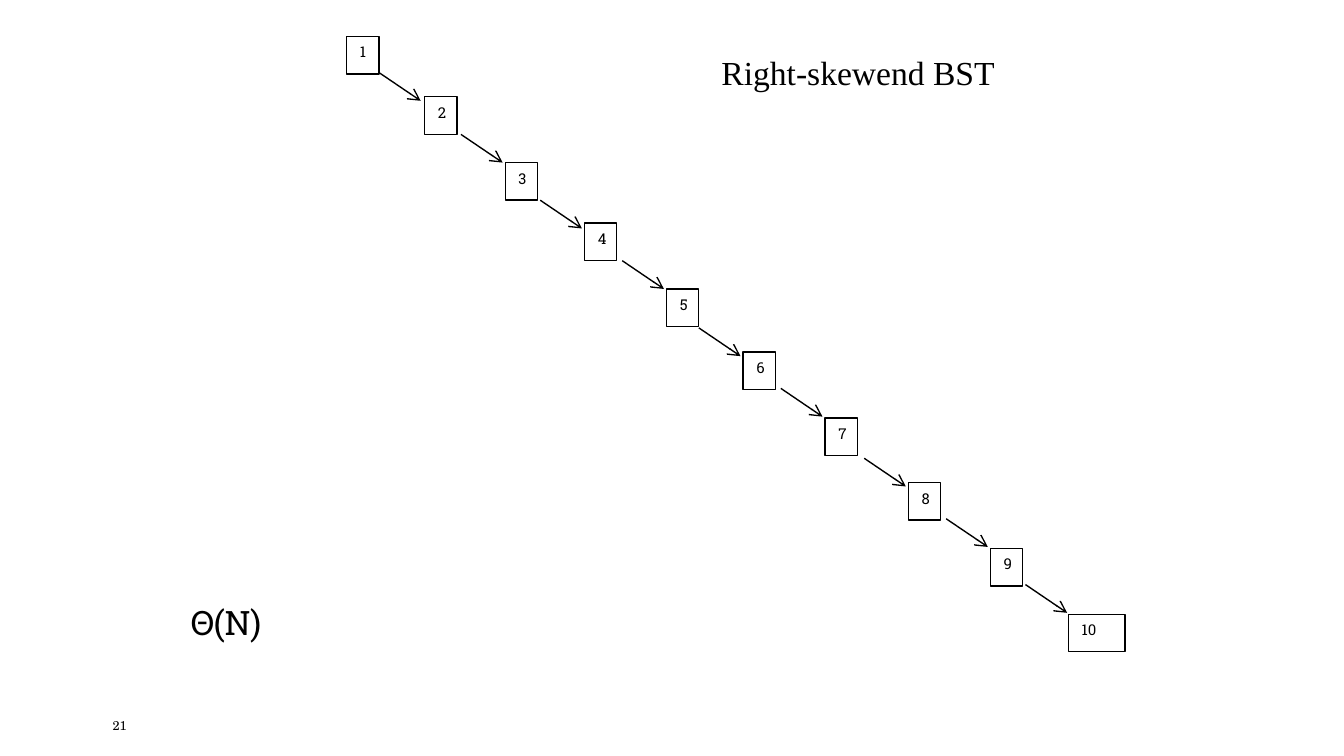
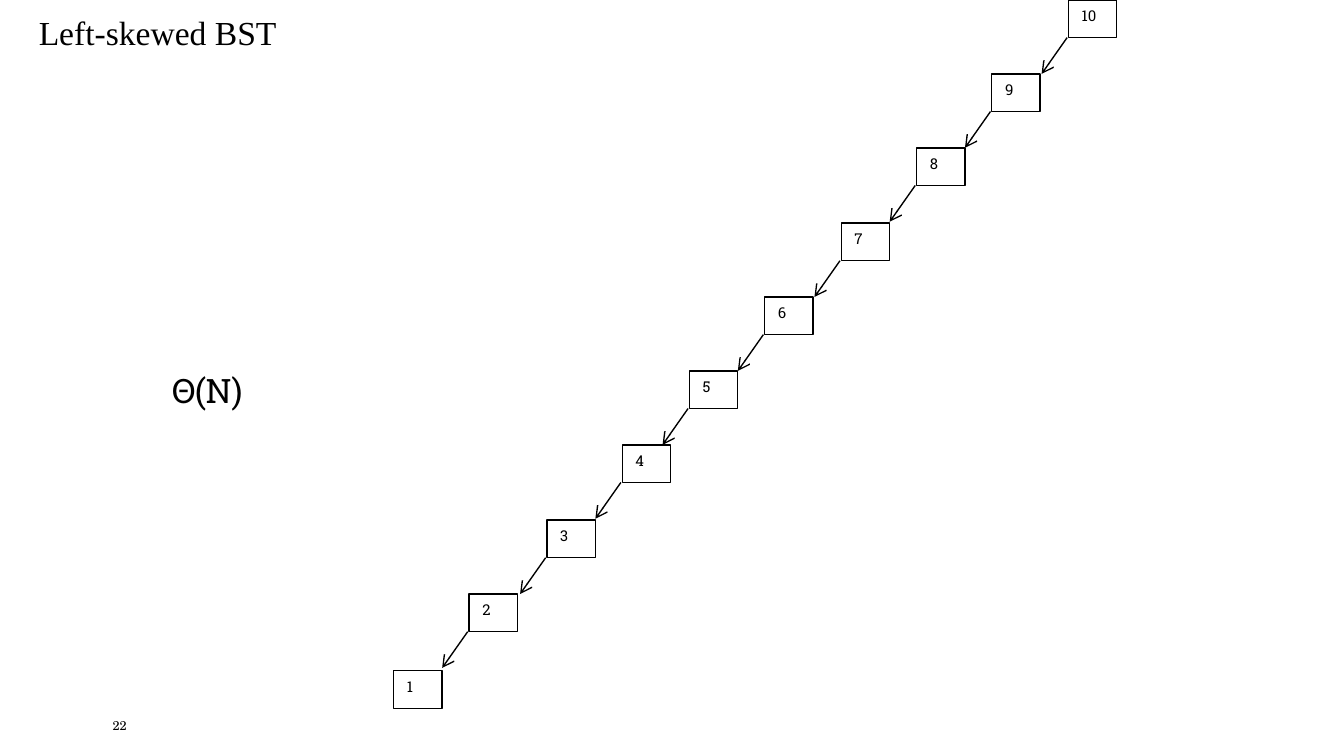
from lxml import etree
from pptx import Presentation
from pptx.dml.color import RGBColor
from pptx.enum.shapes import MSO_CONNECTOR, MSO_SHAPE
from pptx.enum.text import MSO_ANCHOR, MSO_AUTO_SIZE, PP_ALIGN
from pptx.oxml.ns import qn
from pptx.util import Inches, Pt

RECT = MSO_SHAPE.RECTANGLE
STRAIGHT = MSO_CONNECTOR.STRAIGHT
TOP, BOTTOM = MSO_ANCHOR.TOP, MSO_ANCHOR.BOTTOM
LEFT = PP_ALIGN.LEFT
FIT = MSO_AUTO_SIZE.SHAPE_TO_FIT_TEXT

BLACK = "000000"
LINE_WIDTH = Pt(0.75)
NODE_HEIGHT = 0.28
TITLE = {"name": "Times New Roman", "size": Pt(18)}
COST = {"name": "Roboto Slab", "size": Pt(18)}
NODE = {"name": "Roboto Slab", "size": Pt(8)}
PAGE = {"name": "TeX Gyre Schola", "size": Pt(6.8)}

# Nodes run from the root down; every arrow on a slide has the same run and drop.
right_nodes = [(2.58, 0.27), (3.16, 0.72), (3.76, 1.21), (4.35, 1.66), (4.96, 2.15),
               (5.53, 2.62), (6.14, 3.11), (6.76, 3.59), (7.37, 4.08), (7.95, 4.57)]
right_arrows = [(2.82, 0.54), (3.43, 1), (4.02, 1.49), (4.63, 1.94), (5.2, 2.44),
                (5.81, 2.89), (6.43, 3.41), (7.04, 3.86), (7.63, 4.35)]
left_nodes = [(7.95, 0), (7.38, 0.55), (6.82, 1.1), (6.26, 1.66), (5.69, 2.21),
              (5.13, 2.76), (4.63, 3.31), (4.07, 3.87), (3.49, 4.42), (2.93, 4.99)]
left_arrows = [(x - 0.01, y + NODE_HEIGHT) for x, y in left_nodes[:-1]]

trees = [
    {"page": "21", "title": ("Right-skewend BST", 5.27, 0.34, 2.26), "cost_at": (1.32, 4.43),
     "keys": range(1, 11), "nodes": right_nodes, "widths": [0.24] * 9 + [0.42],
     "arrows": right_arrows, "run": 0.31, "drop": 0.21},
    {"page": "22", "title": ("Left-skewed BST", 0.19, 0.04, 1.99), "cost_at": (1.18, 2.7),
     "keys": range(10, 0, -1), "nodes": left_nodes, "widths": [0.36] * 10,
     "arrows": left_arrows, "run": -0.19, "drop": 0.27},
]


def rgb(value):
    return RGBColor.from_string(value)


def write(sp, text, font, anchor=TOP, wrap=True):
    tf = sp.text_frame
    tf.word_wrap = wrap
    tf.vertical_anchor = anchor
    if not wrap:
        tf.auto_size = FIT
    p = tf.paragraphs[0]
    p.alignment = LEFT
    r = p.add_run()
    r.text = text
    for key, value in font.items():
        setattr(r.font, key, value)
    r.font.color.rgb = rgb(BLACK)


prs = Presentation()
prs.slide_width = Inches(10)
prs.slide_height = Inches(10 * 9 / 16)

for tree in trees:
    s = prs.slides.add_slide(prs.slide_layouts[6])

    sp = s.shapes.add_textbox(Inches(0.74), Inches(5.12), Inches(0.64), Inches(0.38))
    write(sp, tree["page"], PAGE, anchor=BOTTOM)

    for x, y in tree["arrows"]:
        arrow = s.shapes.add_connector(STRAIGHT, Inches(x), Inches(y),
                                       Inches(x + tree["run"]), Inches(y + tree["drop"]))
        arrow.line.color.rgb = rgb(BLACK)
        arrow.line.width = LINE_WIDTH
        etree.SubElement(arrow.line._get_or_add_ln(), qn("a:tailEnd"), type="arrow")
        etree.SubElement(arrow._element.spPr, qn("a:effectLst"))

    for key, (x, y), width in zip(tree["keys"], tree["nodes"], tree["widths"]):
        sp = s.shapes.add_shape(RECT, Inches(x), Inches(y), Inches(width), Inches(NODE_HEIGHT))
        sp.shadow.inherit = False
        sp.fill.background()
        sp.line.color.rgb = rgb(BLACK)
        sp.line.width = LINE_WIDTH
        write(sp, str(key), NODE)

    title, x, y, width = tree["title"]
    sp = s.shapes.add_textbox(Inches(x), Inches(y), Inches(width), Inches(0.4))
    write(sp, title, TITLE, wrap=False)

    x, y = tree["cost_at"]
    sp = s.shapes.add_textbox(Inches(x), Inches(y), Inches(0.75), Inches(0.4))
    write(sp, "Θ(N)", COST, wrap=False)

prs.save("out.pptx")
